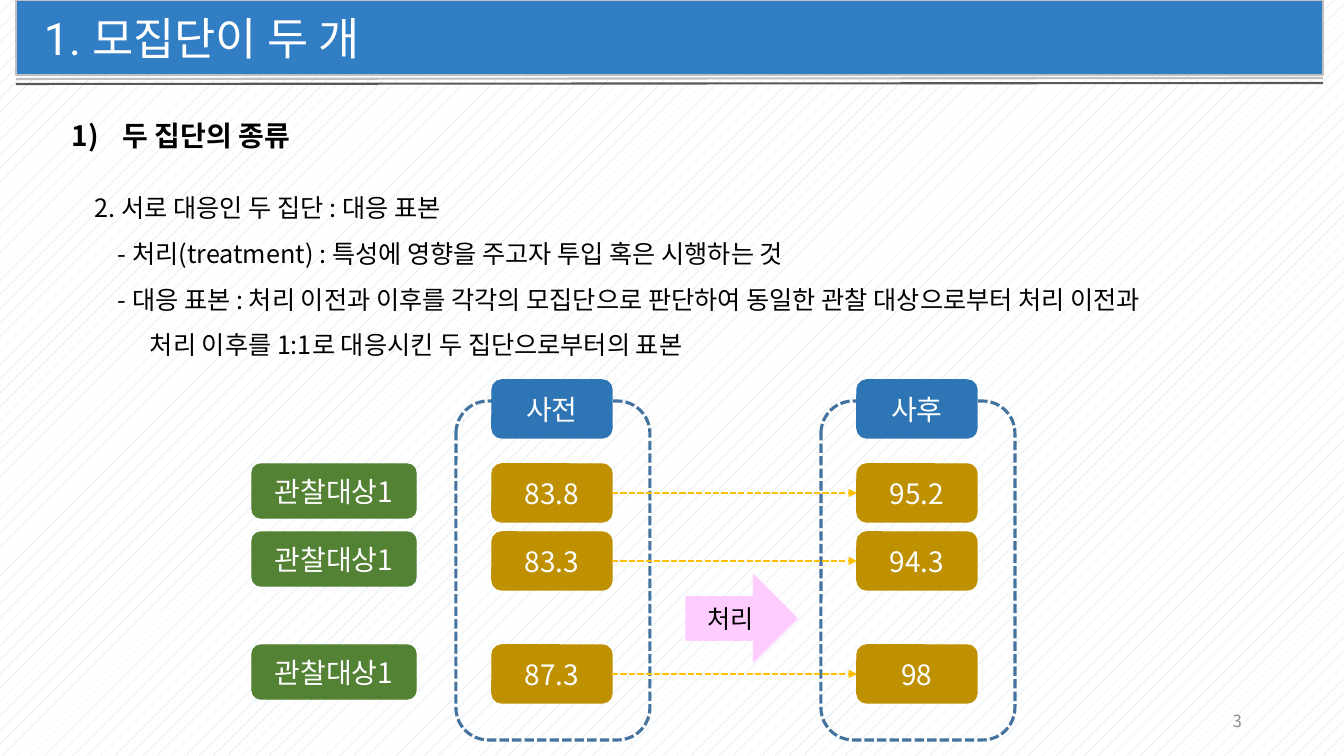
"""Build the slide that explains paired samples from two populations."""
import pptx
import pptx.dml.color
import pptx.enum.dml
import pptx.enum.shapes
import pptx.enum.text
import pptx.oxml.ns
import pptx.util
from lxml import etree

EMU_PER_PX = 914400 / 100.8
KOREAN_FONT = "Noto Sans CJK KR"
COLORS = {
    "white": "FFFFFF", "black": "000000", "stripe": "BDD7EE",
    "title": "327EC4", "light_rule": "BFBFBF", "dark_rule": "595959",
    "group": "43739E", "heading": "2E75B6", "subject": "548235",
    "value": "BF9000", "link": "FFC000", "treatment": "FFCCFF",
    "page_number": "8C8C8C",
}
SHAPES = pptx.enum.shapes.MSO_SHAPE
ALIGN = pptx.enum.text.PP_ALIGN
ANCHOR = pptx.enum.text.MSO_ANCHOR
GROUPS = [
    (456, "사전", ["83.8", "83.3", "87.3"]),
    (821, "사후", ["95.2", "94.3", "98"]),
]
ROW_TOPS = [464, 532, 645]
BODY_LINES = [
    (23, 18, "2. 서로 대응인 두 집단 : 대응 표본"),
    (46, 0, "- 처리(treatment) : 특성에 영향을 주고자 투입 혹은 시행하는 것"),
    (46, 0, "- 대응 표본 : 처리 이전과 이후를 각각의 모집단으로 판단하여 "
            "동일한 관찰 대상으로부터 처리 이전과"),
    (78, 0, "처리 이후를 1:1로 대응시킨 두 집단으로부터의 표본"),
]


def px(length):
    """Turn pixels into EMU."""
    return pptx.util.Emu(round(length * EMU_PER_PX))


def color(name):
    """Look up a named colour."""
    return pptx.dml.color.RGBColor.from_string(COLORS[name])


def add_tag(parent, tag, **attributes):
    """Append a drawing element to a parent element."""
    return etree.SubElement(parent, pptx.oxml.ns.qn(tag), attributes)


def add_span(para, text, size, ink, font=KOREAN_FONT, bold=False):
    """Add one formatted run to a paragraph."""
    span = para.add_run()
    span.text = text
    span.font.size = pptx.util.Pt(size)
    span.font.name = font
    span.font.bold = bold
    span.font.color.rgb = color(ink)
    add_tag(span.font._element, "a:ea", typeface=KOREAN_FONT)


def add_block(page, kind, bounds, fill=None, line=None, width=1):
    """Add a preset shape with a fill and an outline."""
    block = page.shapes.add_shape(kind, *map(px, bounds))
    block.shadow.inherit = False
    if fill:
        block.fill.solid()
        block.fill.fore_color.rgb = color(fill)
    else:
        block.fill.background()
    block.line.color.rgb = color(line or fill)
    block.line.width = pptx.util.Pt(width)
    return block


def add_label(page, kind, bounds, fill, text, size=20, ink="white"):
    """Add a filled shape with a centred label."""
    label = add_block(page, kind, bounds, fill)
    frame = label.text_frame
    frame.word_wrap = True
    frame.vertical_anchor = ANCHOR.MIDDLE
    para = frame.paragraphs[0]
    para.alignment = ALIGN.CENTER
    add_span(para, text, size, ink)
    return label


def add_line(page, start, end, ink):
    """Add a straight line without a shadow."""
    line = page.shapes.add_connector(
        pptx.enum.shapes.MSO_CONNECTOR.STRAIGHT, *map(px, start + end))
    line.line.color.rgb = color(ink)
    line.line.width = pptx.util.Pt(1.5)
    add_tag(line._element.spPr, "a:effectLst")
    return line


def add_link(page, before, after):
    """Join a value to its later value with a dashed arrow."""
    link = add_line(page, (0, 0), (1, 1), "link")
    link.begin_connect(before, 3)
    link.end_connect(after, 1)
    link.line.dash_style = pptx.enum.dml.MSO_LINE.SQUARE_DOT
    add_tag(link.line._get_or_add_ln(), "a:tailEnd", type="triangle")


def add_text_box(page, bounds, anchor=ANCHOR.TOP, wrap=True):
    """Add a text box and return its frame."""
    frame = page.shapes.add_textbox(*map(px, bounds)).text_frame
    frame.word_wrap = wrap
    frame.vertical_anchor = anchor
    return frame


def add_body(page):
    """Add the numbered heading and its explanation."""
    frame = add_text_box(page, (62, 97, 1240, 270))
    para = frame.paragraphs[0]
    para.line_spacing = pptx.util.Pt(36)
    properties = para._p.get_or_add_pPr()
    properties.set("marL", "457200")
    properties.set("indent", "-457200")
    add_tag(properties, "a:buFont", typeface=KOREAN_FONT)
    add_tag(properties, "a:buAutoNum", type="arabicParenR")
    add_span(para, "두 집단의 종류", 20, "black", bold=True)
    for indent, gap, text in BODY_LINES:
        para = frame.add_paragraph()
        para.line_spacing = pptx.util.Pt(32.5)
        para.space_before = pptx.util.Pt(gap)
        para._p.get_or_add_pPr().set("marL", str(px(indent)))
        add_span(para, text, 18, "black")


def add_title(page):
    """Add the title band with its rules."""
    add_block(page, SHAPES.RECTANGLE, (16, 0, 1307, 75), "title", "light_rule")
    for top, ink in [(79, "light_rule"), (84, "dark_rule")]:
        add_line(page, (16, top), (1323, top - 1), ink)
    frame = add_text_box(page, (34, 5, 348, 65), ANCHOR.MIDDLE, wrap=False)
    para = frame.paragraphs[0]
    add_span(para, "1. ", 32, "white", "Roboto")
    add_span(para, "모집단이 두 개", 32, "white")


def add_diagram(page):
    """Add the subjects and their values before and after treatment."""
    rounded = SHAPES.ROUNDED_RECTANGLE
    for top in ROW_TOPS:
        add_label(page, rounded, (252, top, 164, 54), "subject", "관찰대상1")
    columns = []
    for left, heading, values in GROUPS:
        box_left = left + 36
        add_label(page, rounded, (box_left, 380, 120, 58), "heading", heading)
        columns.append([
            add_label(page, rounded, (box_left, top, 120, 58), "value", value)
            for top, value in zip(ROW_TOPS, values)])
    add_label(page, SHAPES.RIGHT_ARROW, (686, 575, 111, 87), "treatment",
              "처리", 18, "black")
    for before, after in zip(*columns):
        add_link(page, before, after)


def add_page_number(page):
    """Add the page number."""
    frame = add_text_box(page, (950, 701, 302, 40), ANCHOR.MIDDLE)
    para = frame.paragraphs[0]
    para.alignment = ALIGN.RIGHT
    add_span(para, "3", 12, "page_number")


def main():
    """Build and save the deck."""
    deck = pptx.Presentation()
    deck.slide_width, deck.slide_height = px(1344), px(756)
    page = deck.slides.add_slide(deck.slide_layouts[6])
    backdrop = page.background.fill
    backdrop.patterned()
    backdrop.pattern = pptx.enum.dml.MSO_PATTERN.PERCENT_5
    backdrop.fore_color.rgb = color("stripe")
    backdrop.back_color.rgb = color("white")
    for left, _, _ in GROUPS:
        outline = add_block(page, SHAPES.ROUNDED_RECTANGLE,
                            (left, 401, 194, 339), line="group", width=2.25)
        outline.line.dash_style = pptx.enum.dml.MSO_LINE.SQUARE_DOT
    add_body(page)
    add_title(page)
    add_diagram(page)
    add_page_number(page)
    deck.save("out.pptx")


if __name__ == "__main__":
    main()
